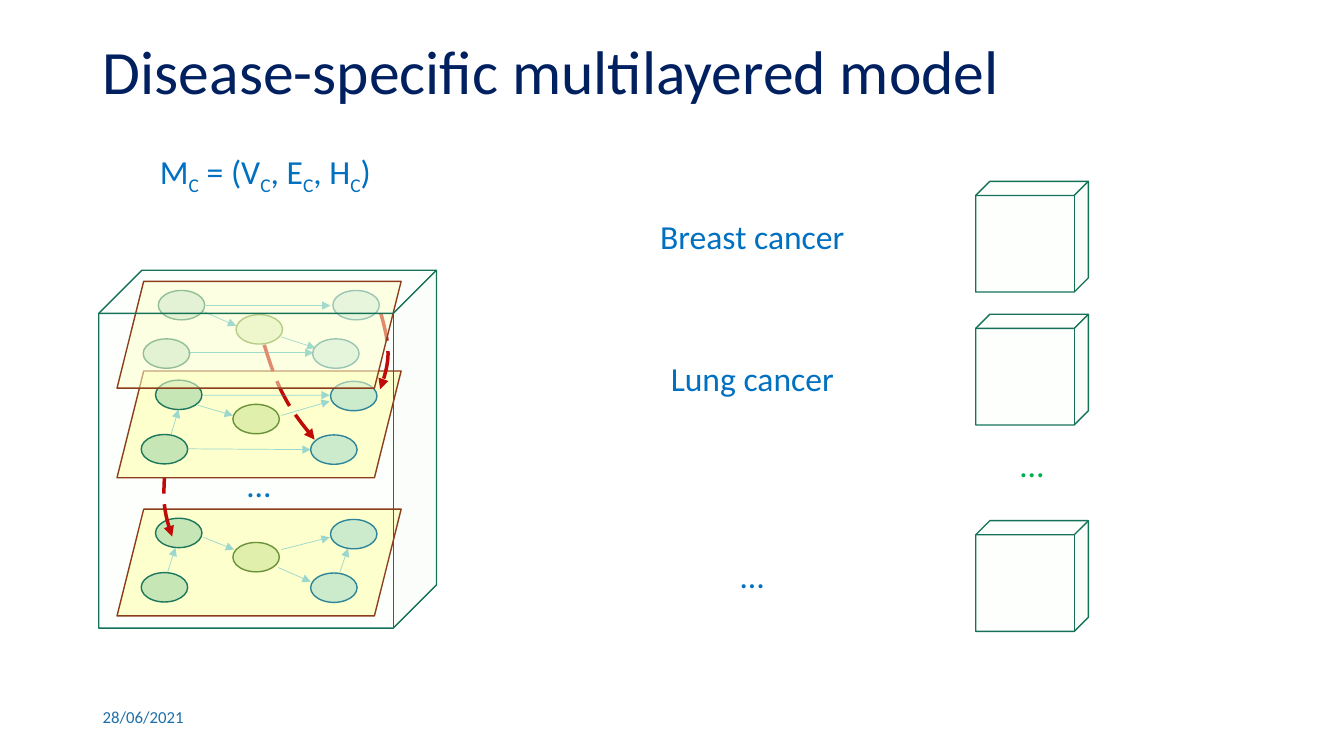
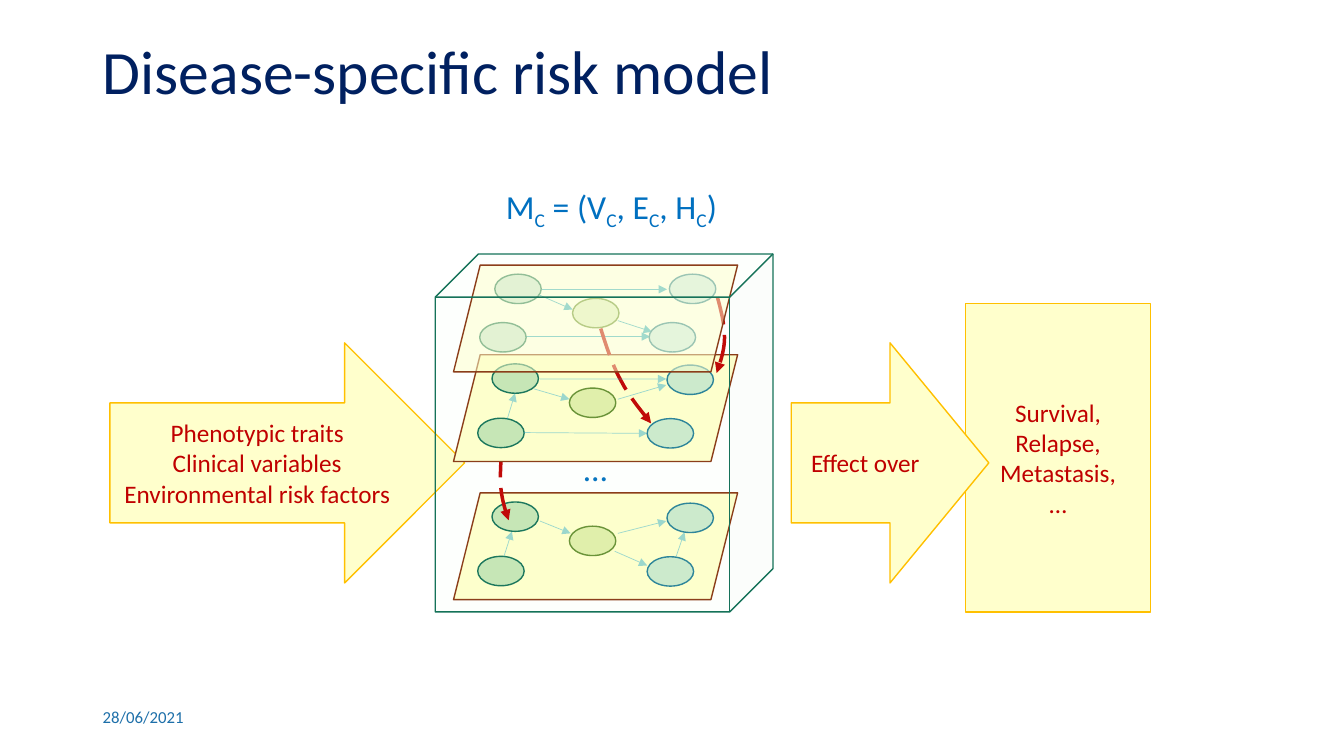
from dataclasses import dataclass

from lxml.etree import SubElement
from pptx import Presentation
from pptx.dml.color import RGBColor
from pptx.enum.dml import MSO_LINE
from pptx.enum.shapes import MSO_CONNECTOR, MSO_SHAPE as SHAPE
from pptx.enum.text import MSO_ANCHOR as ANCHOR, MSO_AUTO_SIZE, PP_ALIGN as ALIGN
from pptx.oxml.ns import qn
from pptx.util import Cm, Pt


@dataclass(frozen=True)
class Theme:
    font: str = "Calibri"
    title: str = "002060"
    text: str = "0070C0"
    date: str = "1D6FA9"
    more: str = "00B050"
    accent: str = "C00000"
    panel: str = "FFFFCC"
    panel_line: str = "FFC000"
    layer_line: str = "893713"
    edge: str = "36AFCE"
    cube: str = "CCFFCC"
    cube_line: str = "157259"
    title_size: int = 44
    label_size: int = 24
    box_size: int = 18
    date_size: int = 12


T = Theme()
TITLE_ONLY = 5
DATE = "28/06/2021"

# Node kinds: fill, outline
GREEN = ("1D9A78", "157259")
LIME = ("8BC145", "678F33")
BLUE = ("36AFCE", "288198")

# Sizes and offsets in cm; nodes and edges are relative to their layer
LAYER_W, LAYER_H, LAYER_X = 7.16, 2.69, 0.46
TOP_Y, MIDDLE_Y, BOTTOM_Y = 0.28, 2.54, 6.02
NODE_W, NODE_H = 1.17, 0.74
MODEL_W, MODEL_H = 8.51, 9.02

TOP_NODES = [(GREEN, 1.04, 0.23), (GREEN, 0.66, 1.45), (LIME, 3, 0.84),
             (BLUE, 5.44, 0.23), (BLUE, 4.93, 1.45)]
LOWER_NODES = [(GREEN, 0.97, 0.23), (GREEN, 0.61, 1.6), (LIME, 2.92, 0.84),
               (BLUE, 5.38, 0.26), (BLUE, 4.88, 1.61)]

TOP_EDGES = [(2.13, 0.74, 3, 1.12), (4.14, 1.4, 5, 1.68),
             (2.24, 0.61, 5.38, 0.61), (1.8, 1.8, 4.95, 1.8)]
MIDDLE_EDGES = [(2.18, 0.61, 5.36, 0.61), (1.78, 1.96, 4.88, 1.98),
                (1.35, 1.63, 1.55, 0.97), (2.03, 0.86, 2.92, 1.12),
                (4.14, 1.12, 5.36, 0.76)]
BOTTOM_EDGES = [(1.27, 1.6, 1.47, 0.97), (2.18, 0.71, 2.95, 1.02),
                (4.14, 1.02, 5.36, 0.71), (4.06, 1.47, 4.88, 1.83),
                (5.61, 1.6, 5.82, 0.99)]

# Bezier points of the links between layers, relative to the model
MIDDLE_TO_BOTTOM = [(1.68, 4.93), (1.65, 5.26), (1.63, 5.59), (1.65, 5.87),
                    (1.68, 6.17), (1.75, 6.43), (1.85, 6.71)]
TOP_TO_MIDDLE = [
    [(7.11, 1.09), (7.21, 1.45), (7.29, 1.78), (7.29, 2.11),
     (7.29, 2.41), (7.19, 2.72), (7.09, 3)],
    [(4.17, 1.88), (4.32, 2.36), (4.47, 2.82), (4.7, 3.23),
     (4.9, 3.61), (5.18, 3.94), (5.44, 4.27)],
]


def rgb(code):
    return RGBColor.from_string(code)


def set_alpha(fill_parent, percent):
    clr = next(fill_parent.iter(qn("a:srgbClr")))
    SubElement(clr, qn("a:alpha")).set("val", str(percent * 1000))


def set_line(sp, color, width, alpha=None, arrow=False):
    sp.line.color.rgb = rgb(color)
    sp.line.width = Pt(width)
    ln = sp.line._get_or_add_ln()
    if alpha:
        set_alpha(ln, alpha)
    if arrow:
        SubElement(ln, qn("a:tailEnd")).set("type", "triangle")


def format_text(tf, size, color, align):
    for p in tf.paragraphs:
        p.alignment = align
        for r in p.runs:
            r.font.name = T.font
            r.font.size = Pt(size)
            r.font.color.rgb = rgb(color)


def add_shape(shapes, kind, x, y, w, h, fill, line, alpha=None):
    sp = shapes.add_shape(kind, Cm(x), Cm(y), Cm(w), Cm(h))
    sp.shadow.inherit = False
    sp.fill.solid()
    sp.fill.fore_color.rgb = rgb(fill)
    if alpha:
        set_alpha(sp._element.spPr, alpha)
    set_line(sp, line, 1)
    return sp


def add_label(shapes, text, x, y, w, h=1.27, size=T.label_size, color=T.text,
              align=ALIGN.CENTER, anchor=ANCHOR.TOP):
    tf = shapes.add_textbox(Cm(x), Cm(y), Cm(w), Cm(h)).text_frame
    tf.word_wrap = True
    tf.vertical_anchor = anchor
    tf.text = text
    format_text(tf, size, color, align)
    return tf


def add_formula(slide, x, y):
    tf = add_label(slide.shapes, "", x, y, 7.02)
    p = tf.paragraphs[0]
    for part in ("M", " = (V", ", E", ", H", ")"):
        p.add_run().text = part
        if part != ")":
            r = p.add_run()
            r.text = "C"
            r._r.get_or_add_rPr().set("baseline", "-25000")
    format_text(tf, T.label_size, T.text, ALIGN.CENTER)


def add_cube(shapes, x, y, w, h):
    sp = add_shape(shapes, SHAPE.CUBE, x, y, w, h, T.cube, T.cube_line, alpha=4)
    sp.adjustments[0] = 0.128


def add_layer(shapes, x, y, alpha=None):
    add_shape(shapes, SHAPE.PARALLELOGRAM, x, y, LAYER_W, LAYER_H,
              T.panel, T.layer_line, alpha)


def add_nodes(shapes, x, y, nodes):
    for (fill, line), dx, dy in nodes:
        add_shape(shapes, SHAPE.OVAL, x + dx, y + dy, NODE_W, NODE_H,
                  fill, line, alpha=25)


def add_edges(shapes, x, y, edges, alpha=None):
    for x1, y1, x2, y2 in edges:
        cn = shapes.add_connector(MSO_CONNECTOR.STRAIGHT, Cm(x + x1), Cm(y + y1),
                                  Cm(x + x2), Cm(y + y2))
        set_line(cn, T.edge, 0.5, alpha, arrow=True)
        SubElement(cn._element.spPr, qn("a:effectLst"))


def bezier_points(points, steps=10):
    """Sample a chain of cubic Bezier curves that share their end points."""
    yield points[0]
    for i in range(0, len(points) - 1, 3):
        a, b, c, d = points[i:i + 4]
        for n in range(1, steps + 1):
            t = n / steps
            u = 1 - t
            yield tuple(u**3 * a[k] + 3 * u * u * t * b[k]
                        + 3 * u * t * t * c[k] + t**3 * d[k] for k in (0, 1))


def add_layer_link(shapes, x, y, points):
    path = [(Cm(x + px), Cm(y + py)) for px, py in bezier_points(points)]
    builder = shapes.build_freeform(*path[0])
    builder.add_line_segments(path[1:], close=False)
    sp = builder.convert_to_shape()
    sp.shadow.inherit = False
    sp.fill.background()
    sp.line.dash_style = MSO_LINE.LONG_DASH
    set_line(sp, T.accent, 2.5, arrow=True)


def add_model(slide, x, y):
    """Stack the three network layers inside a cube at x, y."""
    shapes = slide.shapes.add_group_shape().shapes
    left = x + LAYER_X
    top, middle, bottom = y + TOP_Y, y + MIDDLE_Y, y + BOTTOM_Y

    add_layer(shapes, left, bottom)
    add_nodes(shapes, left, bottom, LOWER_NODES)
    add_layer_link(shapes, x, y, MIDDLE_TO_BOTTOM)
    add_layer(shapes, left, middle)
    add_nodes(shapes, left, middle, LOWER_NODES)
    add_label(shapes, "…", x + 3.04, y + 4.75, 2)

    # The translucent top layer veils its own nodes
    add_edges(shapes, left, top, TOP_EDGES)
    add_nodes(shapes, left, top, TOP_NODES)
    for points in TOP_TO_MIDDLE:
        add_layer_link(shapes, x, y, points)
    add_layer(shapes, left, top, alpha=53)

    add_edges(shapes, left, middle, MIDDLE_EDGES, alpha=50)
    add_edges(shapes, left, bottom, BOTTOM_EDGES, alpha=50)
    add_cube(slide.shapes, x, y, MODEL_W, MODEL_H)


def add_disease_list(slide, x, y):
    cube_x, cube_w, cube_h = x + 8.23, 2.84, 2.79
    for label, label_y, cube_y in (("Breast cancer", 0.74, 0),
                                   ("Lung cancer", 4.32, 3.35),
                                   ("…", 9.3, 8.55)):
        add_label(slide.shapes, label, x, y + label_y, 5.2)
        add_cube(slide.shapes, cube_x, y + cube_y, cube_w, cube_h)
    add_label(slide.shapes, "…", cube_x, y + 6.5, cube_w, color=T.more)


def add_panel(slide, kind, text, x, y, w, h):
    sp = add_shape(slide.shapes, kind, x, y, w, h, T.panel, T.panel_line)
    tf = sp.text_frame
    tf.word_wrap = True
    tf.vertical_anchor = ANCHOR.MIDDLE
    tf.text = text
    format_text(tf, T.box_size, T.accent, ALIGN.CENTER)


def new_slide(prs, title):
    slide = prs.slides.add_slide(prs.slide_layouts[TITLE_ONLY])
    sp = slide.shapes.title
    sp.left, sp.top, sp.width, sp.height = Cm(2.34), Cm(0.91), Cm(29.21), Cm(1.96)
    tf = sp.text_frame
    tf.text = title
    tf.auto_size = MSO_AUTO_SIZE.NONE
    tf.vertical_anchor = ANCHOR.MIDDLE
    tf.paragraphs[0].line_spacing = 0.9
    format_text(tf, T.title_size, T.title, ALIGN.LEFT)
    add_label(slide.shapes, DATE, 2.34, 17.65, 7.62, 0.84, T.date_size, T.date,
              ALIGN.LEFT, ANCHOR.MIDDLE)
    return slide


def multilayered_slide(prs):
    slide = new_slide(prs, "Disease-specific multilayered model")
    add_formula(slide, 3.18, 3.68)
    add_disease_list(slide, 16.36, 4.57)
    add_model(slide, 2.49, 6.81)


def risk_slide(prs):
    slide = new_slide(prs, "Disease-specific risk model")
    add_panel(slide, SHAPE.RIGHT_ARROW,
              "Phenotypic traits\nClinical variables\nEnvironmental risk factors",
              2.77, 8.64, 8.94, 6.05)
    add_model(slide, 10.97, 6.4)
    add_panel(slide, SHAPE.RECTANGLE, "Survival,\nRelapse,\nMetastasis,\n…",
              24.33, 7.65, 4.67, 7.77)
    add_panel(slide, SHAPE.RIGHT_ARROW, "Effect over", 19.94, 8.64, 4.98, 6.05)
    add_formula(slide, 11.9, 4.55)


def main():
    prs = Presentation()
    prs.slide_width, prs.slide_height = Cm(33.87), Cm(19.05)
    multilayered_slide(prs)
    risk_slide(prs)
    prs.save("out.pptx")


if __name__ == "__main__":
    main()
